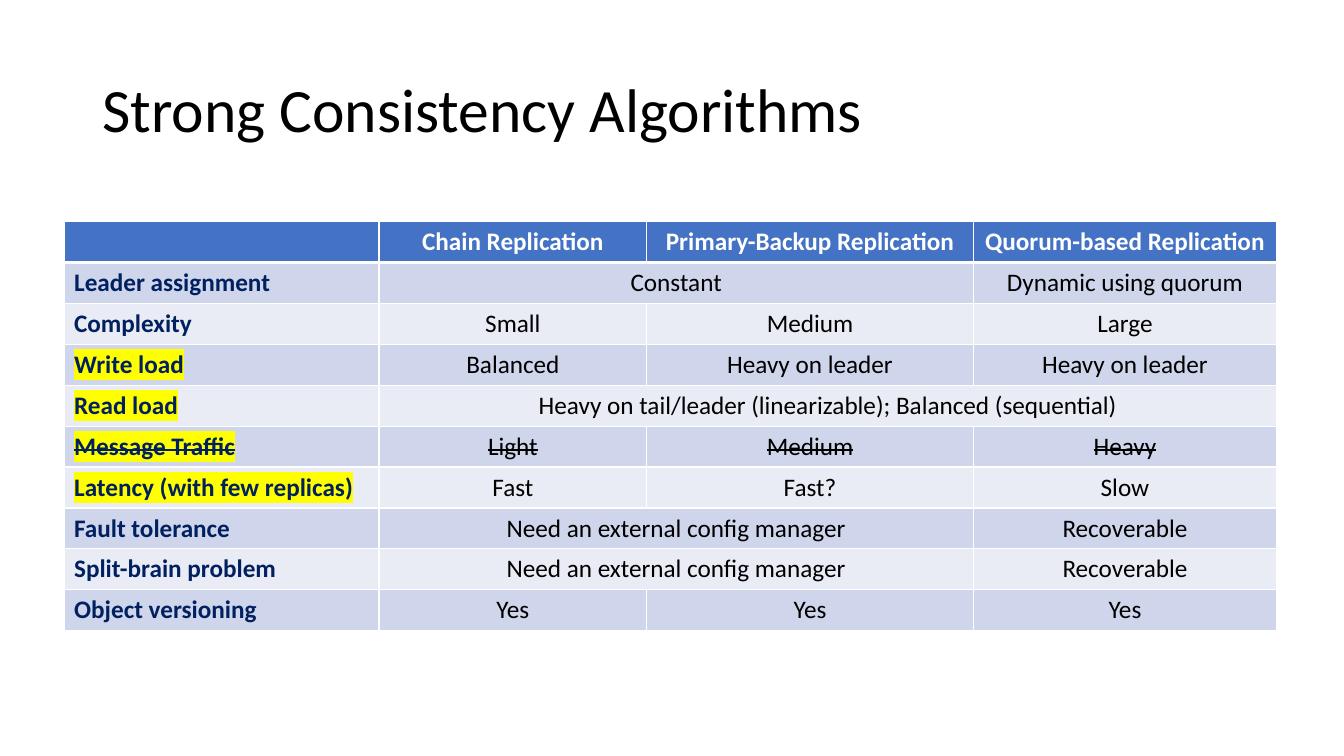
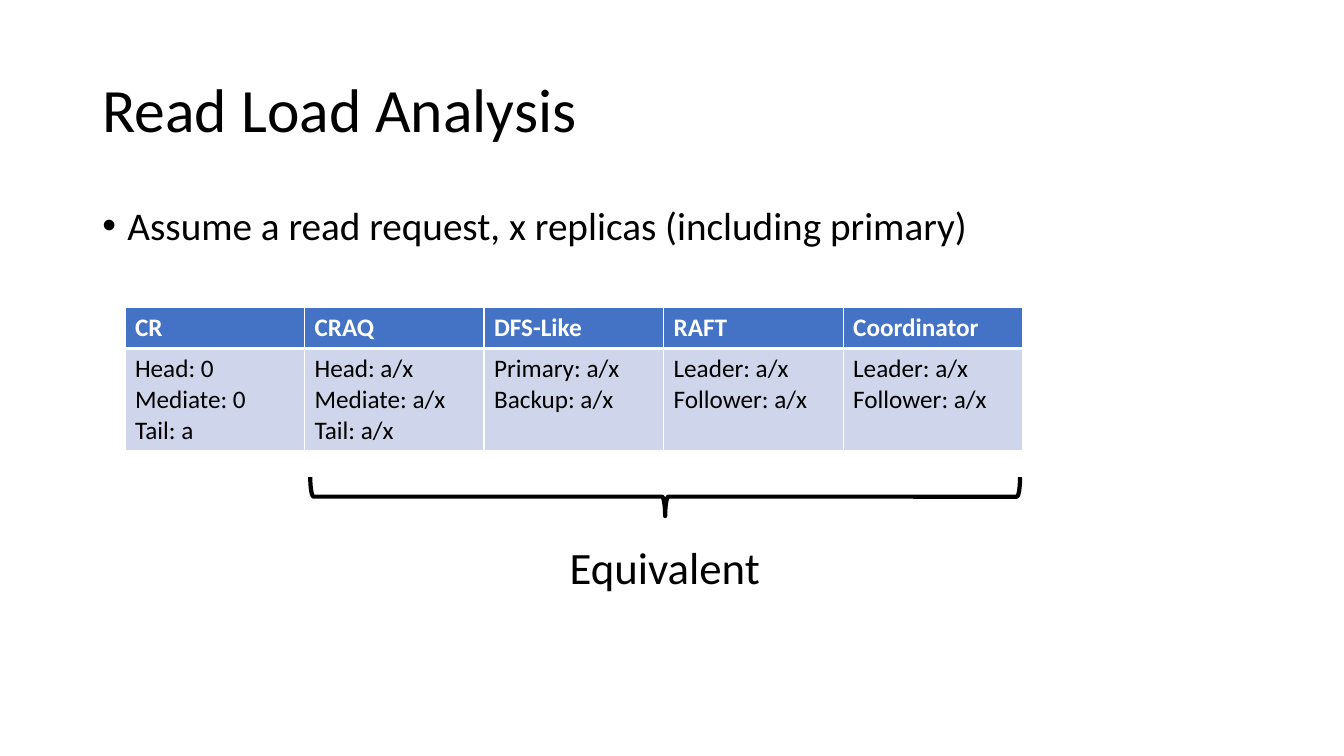
import pptx
import pptx.dml.color
import pptx.enum.shapes
import pptx.enum.text
import pptx.oxml
import pptx.oxml.ns
import pptx.util
from dataclasses import dataclass


@dataclass(frozen=True)
class Theme:
    font: str = "Calibri"
    ink: str = "000000"
    paper: str = "FFFFFF"
    header: str = "4472C4"
    bands: tuple = ("CFD5EA", "E9EBF5")
    label: str = "002060"
    marker: str = "FFFF00"
    title: int = 44
    body: int = 28
    callout: int = 32
    cell: int = 18


theme = Theme()
PX = 9525
rgb = pptx.dml.color.RGBColor.from_string
align = pptx.enum.text.PP_ALIGN
namespace = pptx.oxml.ns.nsdecls("a")


def write(frame, text, size, color=theme.ink, bold=False, struck=False, marked=False, **layout):
    for index, line in enumerate(text.split("\n")):
        paragraph = frame.paragraphs[0] if index == 0 else frame.add_paragraph()
        for name, value in layout.items():
            setattr(paragraph, name, value)
        run = paragraph.add_run()
        run.text = line
        run.font.color.rgb = rgb(color)
        for name, value in {"name": theme.font, "size": pptx.util.Pt(size), "bold": bold}.items():
            setattr(run.font, name, value)
        properties = run._r.get_or_add_rPr()
        if struck:
            properties.set("strike", "sngStrike")
        if marked:
            fill = properties.find(pptx.oxml.ns.qn("a:solidFill"))
            fill.addnext(pptx.oxml.parse_xml(
                f'<a:highlight {namespace}><a:srgbClr val="{theme.marker}"/></a:highlight>'))


def draw_table(slide, left, top, widths, heights, rows, labelled=False, marked=(), struck=()):
    table = slide.shapes.add_table(
        len(rows), len(widths), left * PX, top * PX, sum(widths) * PX, sum(heights) * PX).table
    table.horz_banding = False
    for column, width in zip(table.columns, widths):
        column.width = width * PX
    for row, height in zip(table.rows, heights):
        row.height = height * PX
    for r, texts in enumerate(rows):
        for c, text in enumerate(texts):
            cell = table.cell(r, c)
            cell.fill.solid()
            cell.fill.fore_color.rgb = rgb(theme.bands[(r - 1) % 2] if r else theme.header)
            edges = {"L": 1, "R": 1, "T": 3 if r == 1 else 1, "B": 1 if r else 3}
            for position, (side, points) in enumerate(edges.items()):
                cell._tc.get_or_add_tcPr().insert(position, pptx.oxml.parse_xml(
                    f'<a:ln{side} {namespace} w="{pptx.util.Pt(points)}"><a:solidFill>'
                    f'<a:srgbClr val="{theme.paper}"/></a:solidFill></a:ln{side}>'))
            if text:
                is_label = labelled and r > 0 and c == 0
                color = theme.label if is_label else theme.ink if r else theme.paper
                write(cell.text_frame, text, theme.cell, color,
                      bold=is_label or r == 0,
                      struck=texts[0] in struck,
                      marked=is_label and text in marked,
                      alignment=align.CENTER if labelled and c else align.LEFT)
        for c, text in enumerate(texts):
            if text is not None:
                end = c
                while end + 1 < len(texts) and texts[end + 1] is None:
                    end += 1
                if end > c:
                    table.cell(r, c).merge(table.cell(r, end))


deck = pptx.Presentation()
deck.slide_width, deck.slide_height = 1280 * PX, 720 * PX

slides = []
for heading in ("Strong Consistency Algorithms", "Read Load Analysis"):
    slide = deck.slides.add_slide(deck.slide_layouts[5])
    title = slide.shapes.title
    for name, value in {"left": 88, "top": 38, "width": 1104, "height": 139}.items():
        setattr(title, name, value * PX)
    title.text_frame.vertical_anchor = pptx.enum.text.MSO_ANCHOR.MIDDLE
    title.text_frame.auto_size = pptx.enum.text.MSO_AUTO_SIZE.NONE
    write(title.text_frame, heading, theme.title, alignment=align.LEFT, line_spacing=0.9)
    slides.append(slide)
algorithms, analysis = slides

comparison = [
    ("", "Chain Replication", "Primary-Backup Replication", "Quorum-based Replication"),
    ("Leader assignment", "Constant", None, "Dynamic using quorum"),
    ("Complexity", "Small", "Medium", "Large"),
    ("Write load", "Balanced", "Heavy on leader", "Heavy on leader"),
    ("Read load", "Heavy on tail/leader (linearizable); Balanced (sequential)", None, None),
    ("Message Traffic", "Light", "Medium", "Heavy"),
    ("Latency (with few replicas)", "Fast", "Fast?", "Slow"),
    ("Fault tolerance", "Need an external config manager", None, "Recoverable"),
    ("Split-brain problem", "Need an external config manager", None, "Recoverable"),
    ("Object versioning", "Yes", "Yes", "Yes"),
]
draw_table(algorithms, 61, 211, (300, 255, 311, 289), [39] * len(comparison), comparison,
           labelled=True, struck=("Message Traffic",),
           marked=("Write load", "Read load", "Message Traffic", "Latency (with few replicas)"))

read_loads = [
    ("CR", "CRAQ", "DFS-Like", "RAFT", "Coordinator"),
    ("Head: 0\nMediate: 0\nTail: a", "Head: a/x\nMediate: a/x\nTail: a/x",
     "Primary: a/x\nBackup: a/x", "Leader: a/x\nFollower: a/x", "Leader: a/x\nFollower: a/x"),
]
draw_table(analysis, 119, 293, [171] * 5, (39, 96), read_loads)

assumption = analysis.shapes.add_textbox(88 * PX, 192 * PX, 1104 * PX, 457 * PX).text_frame
assumption.word_wrap = True
write(assumption, "Assume a read request, x replicas (including primary)", theme.body,
      line_spacing=0.9, space_before=pptx.util.Pt(10))
bullet = assumption.paragraphs[0]._p.get_or_add_pPr()
for name, value in {"marL": 24, "indent": -24}.items():
    bullet.set(name, str(value * PX))
for tag in ('buFont {} typeface="Arial"', 'buChar {} char="•"'):
    bullet.append(pptx.oxml.parse_xml(f"<a:{tag.format(namespace)}/>"))

brace = analysis.shapes.add_shape(
    pptx.enum.shapes.MSO_SHAPE.RIGHT_BRACE, 615 * PX, 135 * PX, 37 * PX, 676 * PX)
brace.rotation = 90
brace.shadow.inherit = False
brace.fill.background()
brace.line.color.rgb = rgb(theme.ink)
brace.line.width = pptx.util.Pt(3)

equivalence = analysis.shapes.add_textbox(533 * PX, 509 * PX, 203 * PX, 61 * PX).text_frame
equivalence.word_wrap = False
equivalence.auto_size = pptx.enum.text.MSO_AUTO_SIZE.SHAPE_TO_FIT_TEXT
write(equivalence, "Equivalent", theme.callout)

deck.save("out.pptx")
